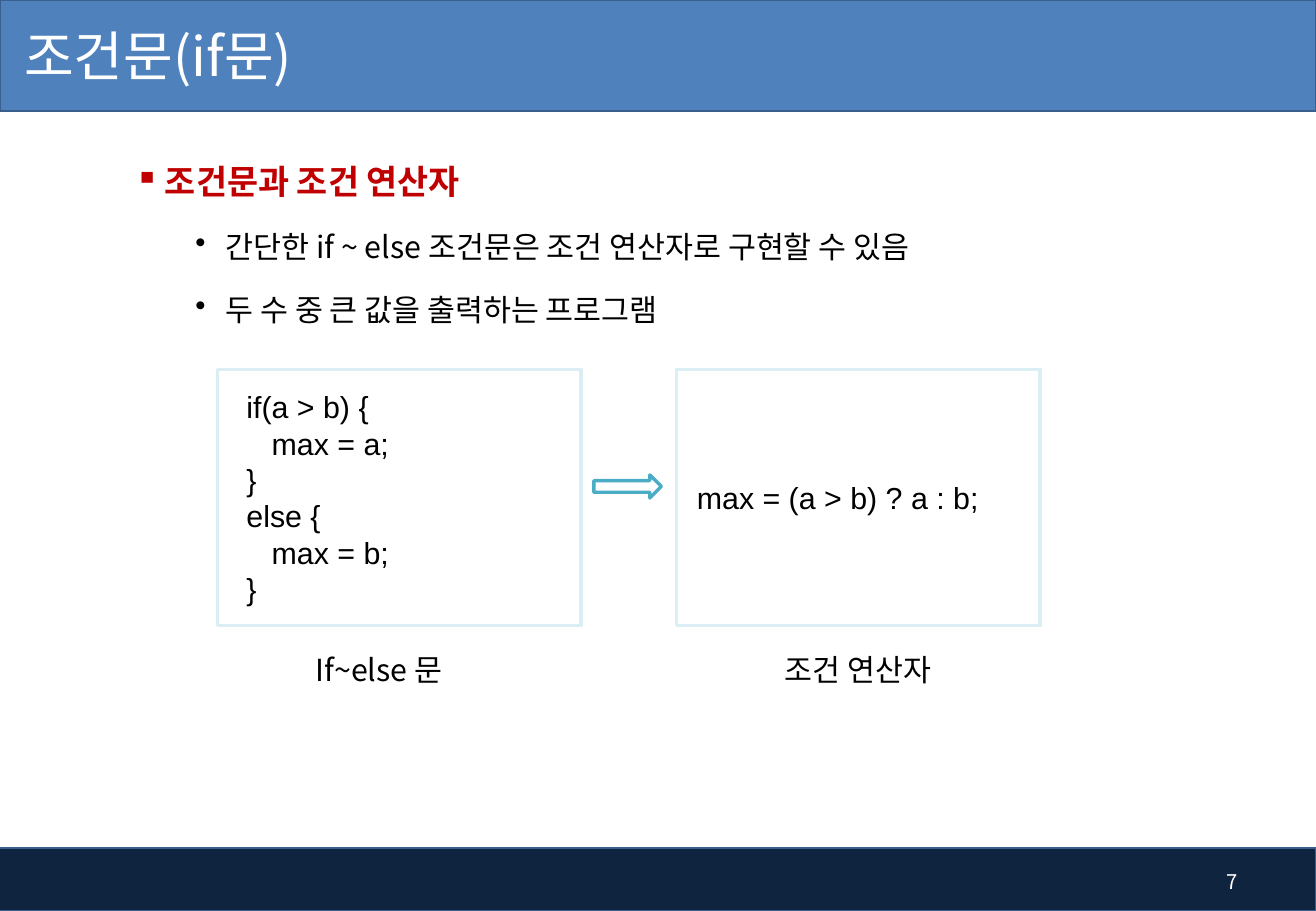
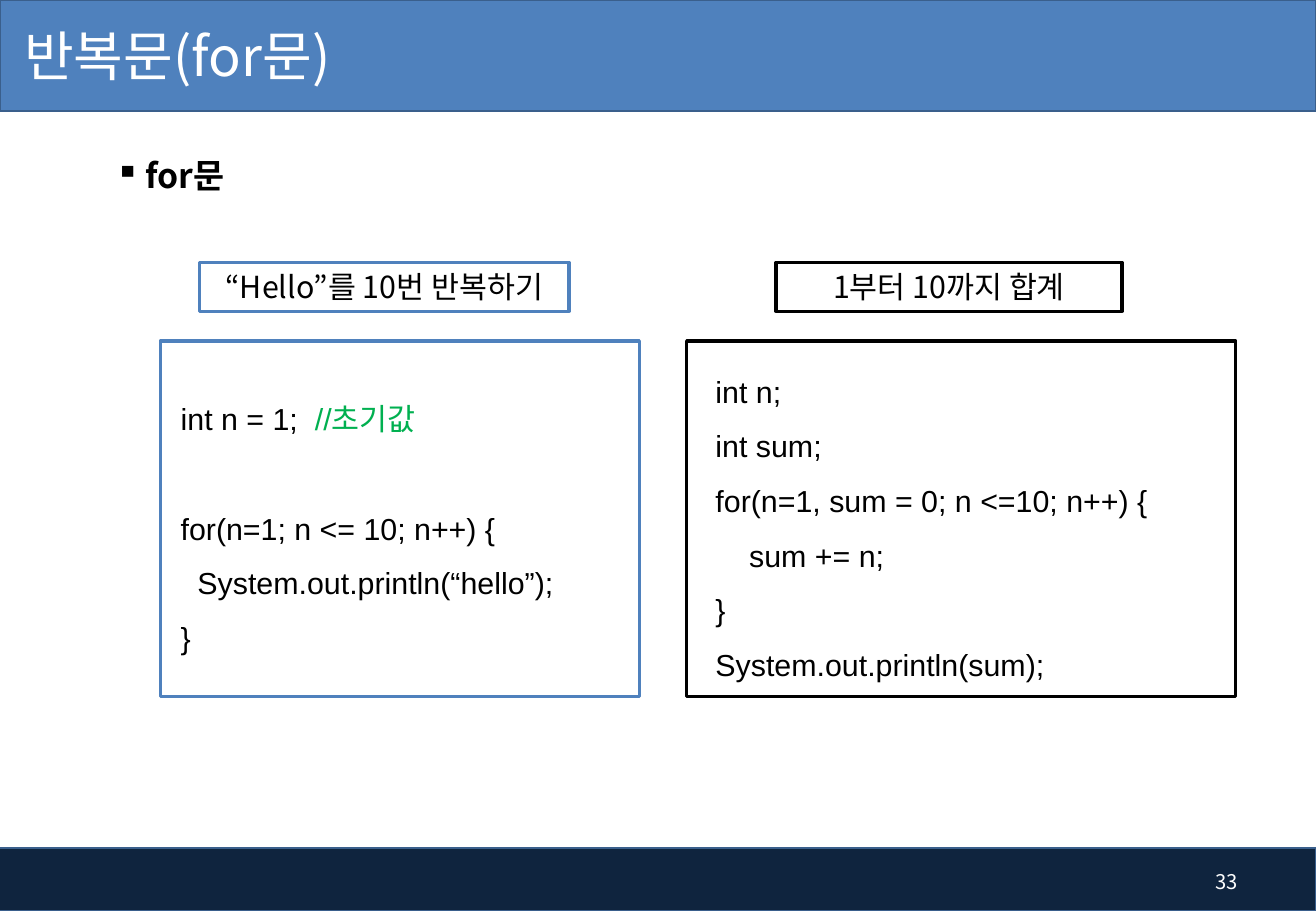
import pptx
import pptx.dml.color
import pptx.enum.shapes
import pptx.enum.text
import pptx.oxml
import pptx.oxml.ns
import pptx.util

Pt = pptx.util.Pt
ALIGN = pptx.enum.text.PP_ALIGN
ANCHOR = pptx.enum.text.MSO_ANCHOR
SHAPE = pptx.enum.shapes.MSO_SHAPE

# Shared look
WIDTH, HEIGHT = 780, 540
KOREAN, LATIN = "Noto Sans CJK KR", "Arial"
WHITE, BLACK, RED, GREEN = "FFFFFF", "000000", "C00000", "00B050"
BLUE, NAVY, BAND_LINE = "4F81BD", "0F243E", "3A5F8C"
PALE, TEAL = "DBEEF4", "4BACC6"


def color(value):
    return pptx.dml.color.RGBColor.from_string(value)


def add_drawing_element(parent, tag, **attributes):
    element = pptx.oxml.parse_xml(f"<a:{tag} {pptx.oxml.ns.nsdecls('a')}/>")
    for name, value in attributes.items():
        element.set(name, value)
    parent.append(element)


def format_run(run, size, fill, font=KOREAN, bold=False):
    run.font.size = Pt(size)
    run.font.bold = bold
    run.font.name = font
    run.font.color.rgb = color(fill)
    add_drawing_element(run.font._element, "ea", typeface=KOREAN)


def format_paragraph(paragraph, size, fill, align=ALIGN.LEFT, bold=False):
    paragraph.alignment = align
    for run in paragraph.runs:
        format_run(run, size, fill, bold=bold)


def add_box(slide, box, fill=WHITE, line=None, weight=2, kind=SHAPE.RECTANGLE):
    shape = slide.shapes.add_shape(kind, *map(Pt, box))
    shape.shadow.inherit = False
    shape.fill.solid()
    shape.fill.fore_color.rgb = color(fill)
    if line:
        shape.line.color.rgb = color(line)
        shape.line.width = Pt(weight)
    else:
        shape.line.fill.background()
    return shape


def add_label(slide, box, text, line=None, align=ALIGN.LEFT):
    frame = add_box(slide, box, line=line).text_frame
    frame.word_wrap = True
    frame.vertical_anchor = ANCHOR.TOP
    frame.text = text
    format_paragraph(frame.paragraphs[0], 18, BLACK, align)


def add_code(slide, box, source, line, spacing=1.0):
    """Frame a listing; a blank source line becomes space before the next one."""
    frame = add_box(slide, box, line=line).text_frame
    frame.word_wrap = True
    frame.vertical_anchor = ANCHOR.MIDDLE
    paragraph, gap = frame.paragraphs[0], 0
    for index, text in enumerate(source):
        if not text:
            gap += 21.6 * spacing
            continue
        if index:
            paragraph = frame.add_paragraph()
        paragraph.alignment = ALIGN.LEFT
        paragraph.line_spacing = spacing
        if gap:
            paragraph.space_before = Pt(gap)
            gap = 0
        code, mark, comment = text.partition("//")
        for part, fill in ((code, BLACK), (mark + comment, GREEN)):
            if part:
                run = paragraph.add_run()
                run.text = part
                format_run(run, 18, fill, LATIN)


def add_bullets(slide, box, heading, items=(), heading_color=BLACK):
    frame = slide.shapes.add_textbox(*map(Pt, box)).text_frame
    frame.word_wrap = True
    for index, text in enumerate((heading, *items)):
        paragraph = frame.add_paragraph() if index else frame.paragraphs[0]
        paragraph.text = text
        properties = paragraph._p.get_or_add_pPr()
        properties.set("marL", str(Pt(54 if index else 18)))
        properties.set("indent", str(Pt(-18)))
        add_drawing_element(properties, "buChar", char="•" if index else "▪")
        paragraph.line_spacing = 1.5 if index else 0.9
        if index:
            paragraph.space_before = Pt(5)
            format_paragraph(paragraph, 18, BLACK)
        else:
            format_paragraph(paragraph, 20, heading_color, bold=True)


def add_bands(slide):
    """Draw the header and footer bands once, behind everything on the layout."""
    bands = (((-3, 502.5, WIDTH + 3, 37.5), NAVY), ((0, 0, WIDTH, 66), BLUE))
    for index, (box, fill) in enumerate(bands):
        band = add_box(slide, box, fill, BAND_LINE, 1)
        band._element.nvSpPr.cNvPr.set("id", str(100 + index))
        slide.slide_layout.shapes._spTree.insert(2 + index, band._element)


def add_slide(presentation, title, number):
    slide = presentation.slides.add_slide(presentation.slide_layouts[5])

    # Title
    holder = slide.shapes.title
    holder.left, holder.top, holder.width, holder.height = map(Pt, (0, -1.5, 488, 68))
    frame = holder.text_frame
    frame.text = title
    frame.margin_left = Pt(14.4)
    frame.vertical_anchor = ANCHOR.MIDDLE
    format_paragraph(frame.paragraphs[0], 32, WHITE)

    # Page number
    frame = slide.shapes.add_textbox(*map(Pt, (697, 508, 44, 29))).text_frame
    frame.word_wrap = True
    frame.vertical_anchor = ANCHOR.MIDDLE
    frame.text = number
    format_paragraph(frame.paragraphs[0], 12, WHITE, ALIGN.RIGHT)
    return slide


def build_condition_slide(presentation):
    slide = add_slide(presentation, "조건문(if문)", "7")
    add_bands(slide)
    add_bullets(slide, (72.7, 94.3, 678, 96), "조건문과 조건 연산자",
                ("간단한 if ~ else 조건문은 조건 연산자로 구현할 수 있음",
                 "두 수 중 큰 값을 출력하는 프로그램"), RED)

    # Two equivalent listings with captions below
    if_else = ("  if(a > b) {", "     max = a;", "  }",
               "  else {", "     max = b;", "  }")
    operator = (" max = (a > b) ? a : b;",)
    columns = ((129, if_else, "If~else 문", 51, 102),
               (401, operator, "조건 연산자", 57, 113))
    for left, source, caption, offset, width in columns:
        add_code(slide, (left, 219, 215.5, 152), source, PALE)
        add_label(slide, (left + offset, 382.3, width, 29), caption)
    add_box(slide, (352, 281.5, 40, 13.7), line=TEAL, kind=SHAPE.RIGHT_ARROW)


def build_loop_slide(presentation):
    slide = add_slide(presentation, "반복문(for문)", "33")
    add_bullets(slide, (61.2, 90.7, 187, 32.4), "for문")

    # Two listings, each under its caption
    hello = (" int n = 1;  //초기값", "", " for(n=1; n <= 10; n++) {",
             "   System.out.println(“hello”);", " }")
    total = ("  int n;", "  int sum;", "  for(n=1, sum = 0; n <=10; n++) {",
             "      sum += n;", "  }", "  System.out.println(sum);")
    columns = ((95, 284, hello, "“Hello”를 10번 반복하기", 118.3, 219, BLUE),
               (407, 325.5, total, "1부터 10까지 합계", 460, 205, BLACK))
    for left, width, source, caption, caption_left, caption_width, line in columns:
        add_code(slide, (left, 202.2, width, 210.6), source, line, 1.5)
        add_label(slide, (caption_left, 155.5, caption_width, 29), caption,
                  line, ALIGN.CENTER)


def main():
    presentation = pptx.Presentation()
    presentation.slide_width, presentation.slide_height = Pt(WIDTH), Pt(HEIGHT)
    build_condition_slide(presentation)
    build_loop_slide(presentation)
    presentation.save("out.pptx")


if __name__ == "__main__":
    main()
